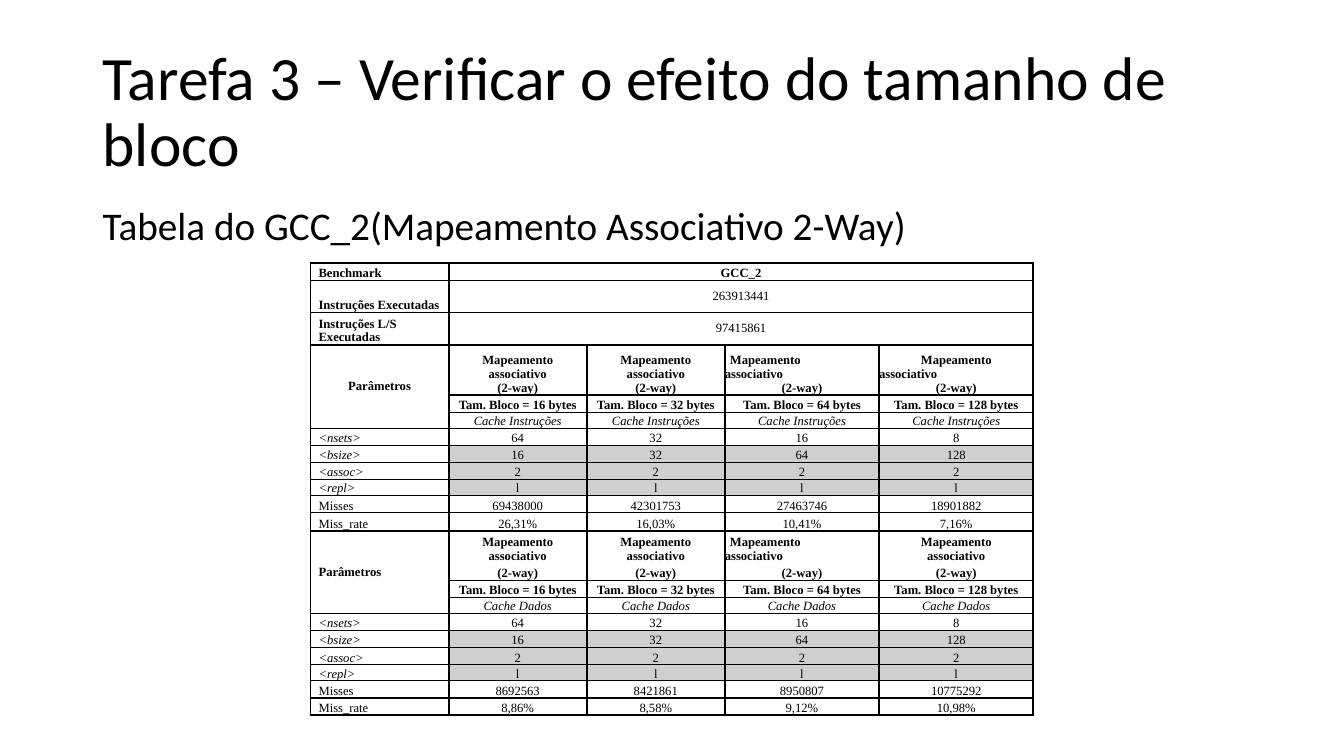
from dataclasses import dataclass

from lxml import etree
from pptx import Presentation
from pptx import util as u
from pptx.dml import color
from pptx.enum import text
from pptx.oxml import ns


@dataclass(frozen=True)
class Theme:
    ink: color.RGBColor = color.RGBColor.from_string("000000")
    shade: color.RGBColor = color.RGBColor.from_string("D0CECE")
    heading_font: str = "Calibri"
    table_font: str = "Times New Roman"
    title_size: int = 44
    subtitle_size: int = 28
    table_size: int = 9
    label_spacing: float = 9.8
    thin: float = 1
    thick: float = 1.5


LEFT, CENTER = text.PP_ALIGN.LEFT, text.PP_ALIGN.CENTER
COLUMN_WIDTHS = [1.37, 1.37, 1.37, 1.53, 1.53]
ROW_HEIGHTS = [0.17, 0.32, 0.32,
               0.5, 0.17, 0.16, 0.17, 0.17, 0.17, 0.16, 0.17, 0.18,
               0.32, 0.17, 0.17, 0.16, 0.17, 0.17, 0.17, 0.16, 0.17, 0.17]
THICK_BELOW = {2, 11, 15, 21}
FIRST_BLOCK, SECOND_BLOCK = 3, 12
OPEN_ROW = 12  # heading row with no rule under it
HEADING_MARGINS = [0.06, 0.06, 0, 0.2]  # narrow enough to wrap the headings
BLOCK_SIZES = [16, 32, 64, 128]
MAPPING = "Mapeamento associativo"
SPREAD = "Mapeamento\tassociativo"
WAY = "(2-way)"


class Slide:
    def __init__(self, page, theme):
        self.page = page
        self.theme = theme

    def style(self, para, font, size, bold=False, italic=False):
        para.font.name = font
        para.font.size = u.Pt(size)
        para.font.bold = bold
        para.font.italic = italic
        para.font.color.rgb = self.theme.ink

    def heading(self, words, top, height, size, anchor):
        box = self.page.shapes.add_textbox(
            u.Inches(0.92), u.Inches(top), u.Inches(11.5), u.Inches(height))
        frame = box.text_frame
        frame.word_wrap = True
        frame.vertical_anchor = anchor
        para = frame.paragraphs[0]
        para.text = words
        para.line_spacing = 0.9
        self.style(para, self.theme.heading_font, size)

    def table(self, left, top, widths, heights):
        frame = self.page.shapes.add_table(
            len(heights), len(widths), u.Inches(left), u.Inches(top),
            u.Inches(sum(widths)), u.Inches(sum(heights)))
        grid = frame.table
        grid.first_row = grid.horz_banding = False
        for column, width in zip(grid.columns, widths):
            column.width = u.Inches(width)
        for row, height in zip(grid.rows, heights):
            row.height = u.Inches(height)
        return grid

    def cell(self, cell, words, bold=False, italic=False, align=CENTER,
             spacing=None, margin=0, middle=False, shaded=False):
        cell.margin_top = cell.margin_bottom = 0
        cell.margin_left = cell.margin_right = u.Inches(margin)
        cell.vertical_anchor = text.MSO_ANCHOR.MIDDLE if middle else text.MSO_ANCHOR.BOTTOM
        if shaded:
            cell.fill.solid()
            cell.fill.fore_color.rgb = self.theme.shade
        else:
            cell.fill.background()
        cell.text_frame.text = words
        for para in cell.text_frame.paragraphs:
            para.alignment = align
            if spacing:
                para.line_spacing = u.Pt(spacing)
            if "\t" in para.text:
                self.tab(para, 0.05, 0.87)
            self.style(para, self.theme.table_font, self.theme.table_size, bold, italic)

    def label(self, cell, words, **look):
        self.cell(cell, words, align=LEFT, spacing=self.theme.label_spacing, **look)
        cell.margin_left = u.Inches(0.08)

    def tab(self, para, indent, stop):
        para.alignment = LEFT
        properties = para._p.get_or_add_pPr()
        properties.set("marL", "0")
        properties.set("indent", str(u.Inches(indent)))
        stops = etree.SubElement(properties, ns.qn("a:tabLst"))
        etree.SubElement(stops, ns.qn("a:tab"), pos=str(u.Inches(stop)), algn="l")

    def borders(self, cell, **widths):
        properties = cell._tc.get_or_add_tcPr()
        for place, side in enumerate("LRTB"):
            width = widths[side]
            line = etree.Element(ns.qn(f"a:ln{side}"), w=str(u.Pt(width)))
            if width:
                fill = etree.SubElement(line, ns.qn("a:solidFill"))
                etree.SubElement(fill, ns.qn("a:srgbClr"), val=str(self.theme.ink))
            else:
                etree.SubElement(line, ns.qn("a:noFill"))
            properties.insert(place, line)

    def rule_grid(self, grid):
        theme = self.theme

        def rule(row):
            if row == OPEN_ROW:
                return 0
            return theme.thick if row in THICK_BELOW or row < 0 else theme.thin

        for row in range(len(grid.rows)):
            for column in range(len(grid.columns)):
                cell = grid.cell(row, column)
                if cell.is_spanned:
                    # Keep covered cells from stretching their rows
                    para = cell.text_frame.paragraphs[0]
                    etree.SubElement(para._p, ns.qn("a:endParaRPr"),
                                     sz=str(theme.table_size * 100))
                    cell.margin_top = cell.margin_bottom = 0
                    cell.fill.background()
                last = row + cell.span_height - 1 if cell.is_merge_origin else row
                self.borders(cell, L=theme.thick, R=theme.thick,
                             T=rule(row - 1), B=rule(last))


def fill_summary(slide, grid):
    summary = [("Benchmark", "GCC_2"), ("Instruções Executadas", "263913441"),
               ("Instruções L/S Executadas", "97415861")]
    for row, (name, value) in enumerate(summary):
        grid.cell(row, 1).merge(grid.cell(row, 4))
        slide.label(grid.cell(row, 0), name, bold=True)
        slide.cell(grid.cell(row, 1), value, bold=row == 0, middle=row > 0)


def fill_block(slide, grid, top, headings, cache, misses, rates):
    # Column headings
    body = top + len(headings) + 2
    grid.cell(top, 0).merge(grid.cell(body - 1, 0))
    if top == FIRST_BLOCK:
        slide.cell(grid.cell(top, 0), "Parâmetros", bold=True, middle=True)
    else:
        slide.label(grid.cell(top, 0), "Parâmetros", bold=True, middle=True)
    for row, line in enumerate(headings, top):
        for column, words in enumerate(line, 1):
            margin = HEADING_MARGINS[column - 1] if MAPPING in words else 0
            slide.cell(grid.cell(row, column), words, bold=True, spacing=9.9, margin=margin)
    for column, size in enumerate(BLOCK_SIZES, 1):
        slide.cell(grid.cell(body - 2, column), f"Tam. Bloco = {size} bytes", bold=True)
        slide.cell(grid.cell(body - 1, column), cache, italic=True, spacing=9.8)

    # Parameters and results
    measures = [("<nsets>", [1024 // size for size in BLOCK_SIZES]), ("<bsize>", BLOCK_SIZES),
                ("<assoc>", [2] * 4), ("<repl>", ["l"] * 4),
                ("Misses", misses), ("Miss_rate", rates)]
    for row, (name, values) in enumerate(measures, body):
        slide.label(grid.cell(row, 0), name, italic=name.startswith("<"))
        for column, value in enumerate(values, 1):
            slide.cell(grid.cell(row, column), str(value),
                       shaded=name in ("<bsize>", "<assoc>", "<repl>"))


def main():
    deck = Presentation()
    deck.slide_width, deck.slide_height = u.Inches(13.33), u.Inches(7.5)
    theme = Theme()
    slide = Slide(deck.slides.add_slide(deck.slide_layouts[6]), theme)

    # Title and subtitle
    slide.heading("Tarefa 3 – Verificar o efeito do tamanho de bloco", 0.4, 1.45,
                  theme.title_size, text.MSO_ANCHOR.MIDDLE)
    slide.heading("Tabela do GCC_2(Mapeamento Associativo 2-Way)", 2, 0.6,
                  theme.subtitle_size, text.MSO_ANCHOR.TOP)

    # Results table
    grid = slide.table(3.08, 2.61, COLUMN_WIDTHS, ROW_HEIGHTS)
    fill_summary(slide, grid)
    stacked = f"Mapeamento\nassociativo\n{WAY}"
    fill_block(slide, grid, FIRST_BLOCK,
               [[f"{MAPPING}\n{WAY}", f"{MAPPING}\n{WAY}", f"{SPREAD}\n{WAY}", stacked]],
               "Cache Instruções",
               [69438000, 42301753, 27463746, 18901882],
               ["26,31%", "16,03%", "10,41%", "7,16%"])
    grid.cell(FIRST_BLOCK, 4).text_frame.paragraphs[1].alignment = LEFT
    fill_block(slide, grid, SECOND_BLOCK,
               [[MAPPING, MAPPING, SPREAD, MAPPING], [WAY] * 4],
               "Cache Dados",
               [8692563, 8421861, 8950807, 10775292],
               ["8,86%", "8,58%", "9,12%", "10,98%"])
    slide.rule_grid(grid)

    deck.save("out.pptx")


if __name__ == "__main__":
    main()
